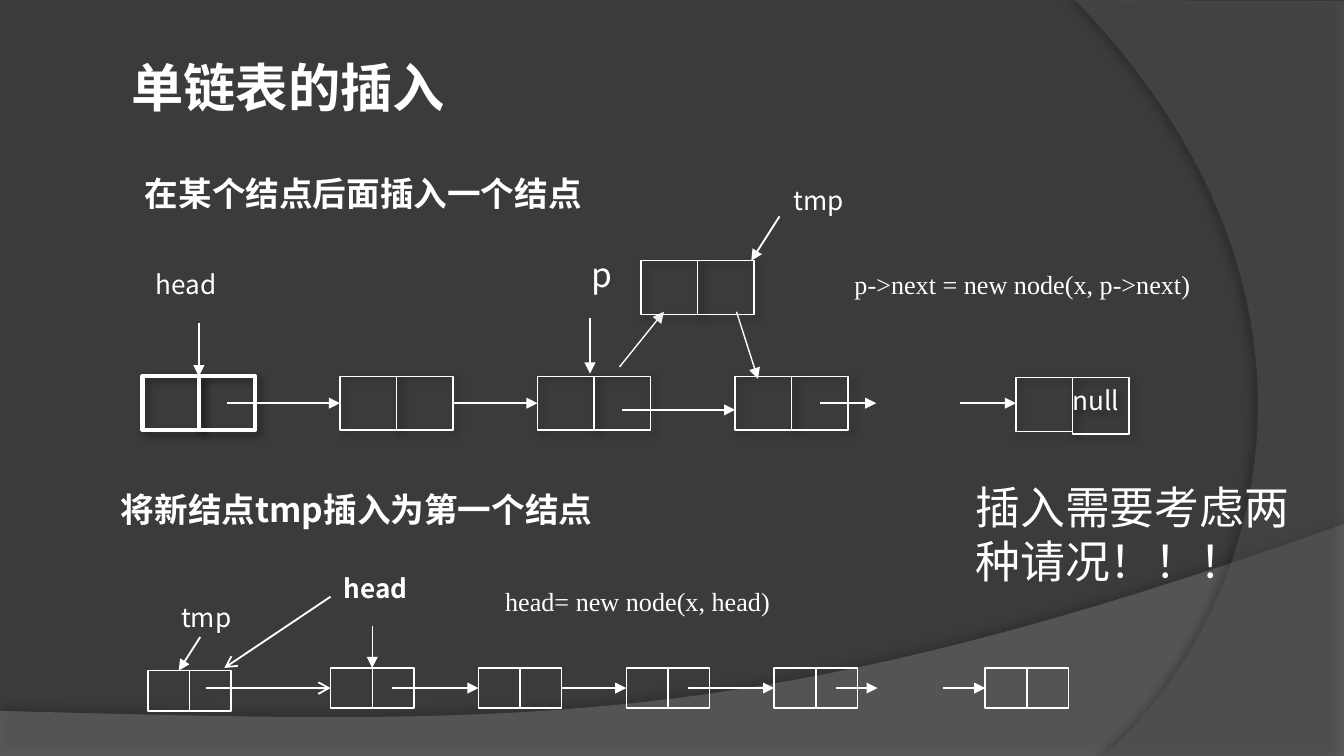
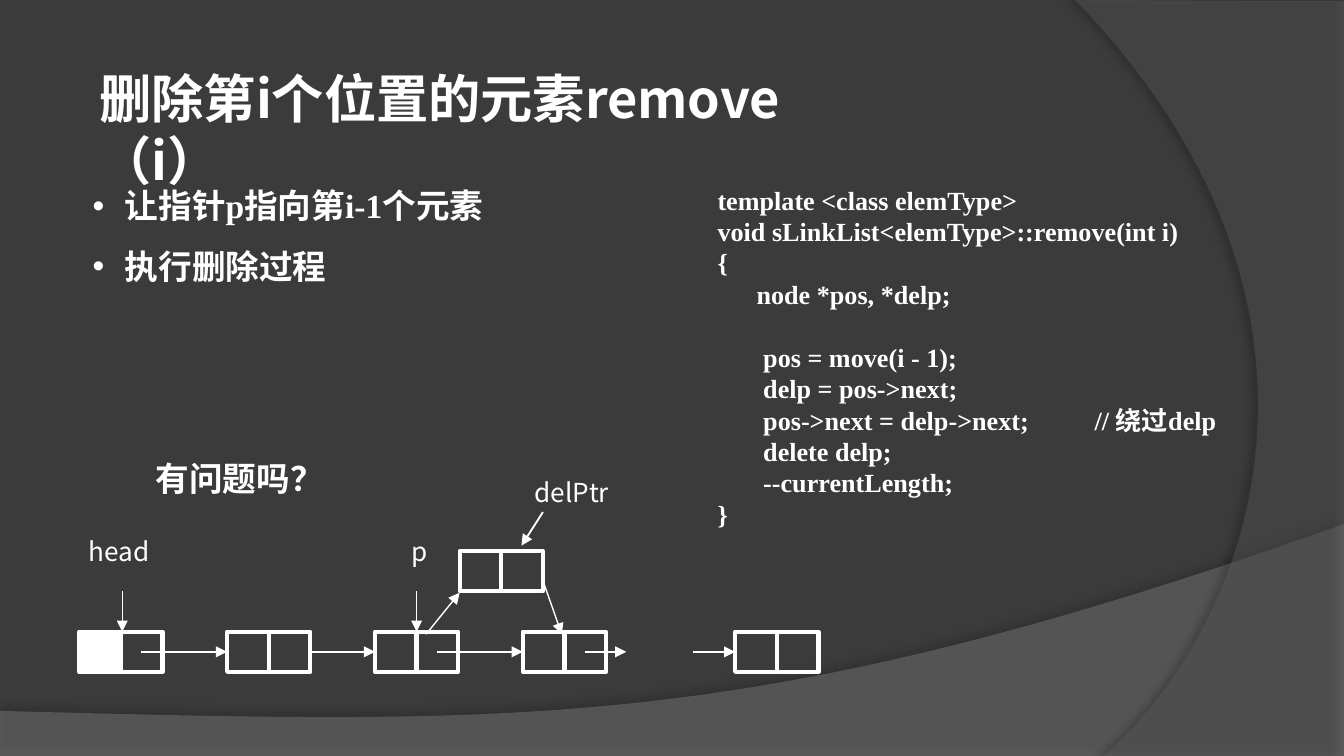
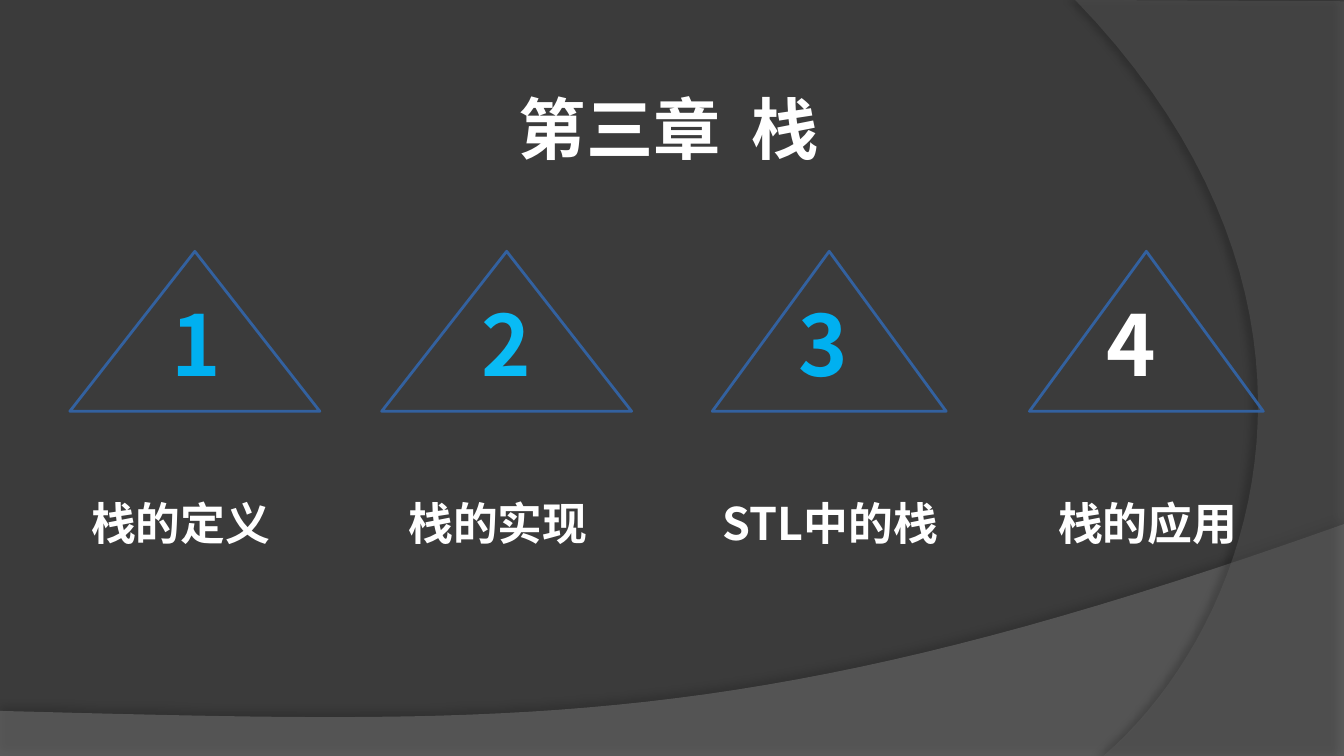
from lxml.etree import SubElement
from pptx import Presentation
from pptx.dml.color import RGBColor
from pptx.enum.shapes import MSO_CONNECTOR, MSO_SHAPE
from pptx.enum.text import MSO_ANCHOR, MSO_AUTO_SIZE, PP_ALIGN
from pptx.oxml.ns import qn
from pptx.util import Pt

PX = 9144  # EMU per px, 100 px to the inch
WIDTH = 1000
HEIGHT = WIDTH * 9 / 16

BACKGROUND = RGBColor(0x3B, 0x3B, 0x3B)
LOWER_BAND = RGBColor(0x7F, 0x7F, 0x7F)
RIGHT_BAND = RGBColor(0x5E, 0x5E, 0x5E)
WHITE = RGBColor(0xFF, 0xFF, 0xFF)
TRIANGLE_BLUE = RGBColor(0x33, 0x61, 0x9F)
DEEP_CYAN = RGBColor(0x00, 0xB0, 0xF0)
CYAN = RGBColor(0x09, 0xBB, 0xF5)

SANS = "Noto Sans CJK SC"
SERIF = "Times New Roman"
CELL_SHADOW = (40, 4, 3, 45)  # opacity %, blur pt, distance pt, angle
THIN, MEDIUM, THICK = 0.75, 1, 2.25


def px(*lengths):
    return [round(length * PX) for length in lengths]


def set_shadow(shape, shadow=None):
    shape.shadow.inherit = False
    if shadow:
        opacity, blur, distance, angle = shadow
        effects = shape.element.find(qn("p:spPr")).find(qn("a:effectLst"))
        outer = SubElement(effects, qn("a:outerShdw"), blurRad=str(Pt(blur)),
                           dist=str(Pt(distance)), dir=str(angle * 60000),
                           algn="ctr", rotWithShape="0")
        black = SubElement(outer, qn("a:srgbClr"), val="000000")
        SubElement(black, qn("a:alpha"), val=str(opacity * 1000))


# Shared backdrop
def bezier(start, control1, control2, end, steps=40):
    points = []
    for step in range(1, steps + 1):
        t = step / steps
        weights = ((1 - t) ** 3, 3 * t * (1 - t) ** 2, 3 * t * t * (1 - t), t ** 3)
        points.append(tuple(
            sum(weight * value for weight, value in zip(weights, axis))
            for axis in zip(start, control1, control2, end)))
    return points


def add_band(slide, corners, curve, color, opacity, shadow):
    outline = [px(*point) for point in corners + bezier(corners[-1], *curve)]
    builder = slide.shapes.build_freeform(*outline[0], scale=1.0)
    builder.add_line_segments(outline[1:], close=True)
    band = builder.convert_to_shape()
    band.fill.solid()
    band.fill.fore_color.rgb = color
    color_node = next(band.element.iter(qn("a:srgbClr")))
    SubElement(color_node, qn("a:alpha"), val=str(opacity * 1000))
    band.line.fill.background()
    set_shadow(band, shadow)


def add_slide(deck):
    slide = deck.slides.add_slide(deck.slide_layouts[6])
    add_band(slide, [(0, 529), (0, HEIGHT), (WIDTH, HEIGHT), (WIDTH, 390)],
             [(559, 547), (391, 539), (0, 529)], LOWER_BAND, 45, (35, 4, 3.5, 270))
    add_band(slide, [(WIDTH, 1), (WIDTH, HEIGHT), (821, HEIGHT)],
             [(935, 464), (1018, 225), (800, 0)], RIGHT_BAND, 40, (45, 4, 4, 180))
    return slide


# Text
def format_run(run, size, font=SANS, color=WHITE, bold=False):
    run.font.size = Pt(size)
    run.font.bold = bold
    run.font.color.rgb = color
    run.font.name = font
    SubElement(run.font._element, qn("a:ea"), typeface=SANS)


def format_text(frame, size, align=None, spacing=None, **style):
    for paragraph in frame.paragraphs:
        paragraph.alignment = align
        paragraph.line_spacing = spacing
        for run in paragraph.runs:
            format_run(run, size, **style)


def set_insets(frame, left, top, right, bottom):
    frame.margin_left, frame.margin_top, frame.margin_right, frame.margin_bottom = px(
        left, top, right, bottom)


def add_text(slide, box, text, size, insets=(10, 5, 10, 5), grow=True, **style):
    frame = slide.shapes.add_textbox(*px(*box)).text_frame
    frame.word_wrap = True
    frame.auto_size = MSO_AUTO_SIZE.SHAPE_TO_FIT_TEXT if grow else MSO_AUTO_SIZE.NONE
    set_insets(frame, *insets)
    frame.text = text
    format_text(frame, size, **style)
    return frame


def add_heading(slide, box, text, size=28, **style):
    add_text(slide, box, text, size, insets=(7, 4, 7, 4), bold=True, **style)


def add_pointer_name(slide, box, text, size=14, **style):
    add_text(slide, box, text, size, grow=False, align=PP_ALIGN.JUSTIFY, **style)


def add_centred_name(slide, box, text):
    frame = add_text(slide, box, text, 14, grow=False, align=PP_ALIGN.CENTER)
    frame.word_wrap = False
    frame.vertical_anchor = MSO_ANCHOR.MIDDLE


def indent(paragraph, left, first=0):
    properties = paragraph._p.get_or_add_pPr()
    properties.set("marL", str(left * PX))
    properties.set("indent", str(first * PX))
    return properties


# Linked list parts
def add_outline(slide, kind, box, color=WHITE, weight=THIN, shadow=None):
    shape = slide.shapes.add_shape(kind, *px(*box))
    shape.fill.background()
    shape.line.color.rgb = color
    shape.line.width = Pt(weight)
    set_shadow(shape, shadow)
    return shape


def add_arrow(slide, start, end, weight=THIN, head="triangle"):
    arrow = slide.shapes.add_connector(MSO_CONNECTOR.STRAIGHT, *px(*start, *end))
    arrow.line.color.rgb = WHITE
    arrow.line.width = Pt(weight)
    properties = arrow.element.find(qn("p:spPr"))
    SubElement(properties.find(qn("a:ln")), qn("a:tailEnd"), type=head)
    SubElement(properties, qn("a:effectLst"))


def add_node(slide, left, top, cell, weight=THIN, shadow=None):
    width, height = cell
    return [add_outline(slide, MSO_SHAPE.RECTANGLE, (x, top, width, height),
                        weight=weight, shadow=shadow)
            for x in (left, left + width)]


def add_chain(slide, left, top, step, last, cell, weight=THIN, shadow=None, old_link_drop=0):
    """Four evenly spaced nodes, a gap, and the last node."""
    width, height = cell
    lefts = [left + step * i for i in range(4)] + [last]
    nodes = [add_node(slide, x, top, cell, weight, shadow) for x in lefts]
    middle = top + height // 2
    inside = width * 3 // 2
    links = [
        (lefts[0] + inside, lefts[1], 0),
        (lefts[1] + 2 * width, lefts[2], 0),
        (lefts[2] + inside, lefts[3], old_link_drop),
        (lefts[3] + inside, lefts[3] + inside + width, 0),
        (last - width, last, 0),
    ]
    for start, end, drop in links:
        add_arrow(slide, (start, middle + drop), (end, middle + drop))
    return nodes


# Slides
def build_insertion(deck):
    slide = add_slide(deck)
    add_heading(slide, (91, 37, 404, 55), "单链表的插入")
    add_heading(slide, (83, 360, 843, 38), "将新结点tmp插入为第一个结点", 18)

    # Insertion at the front
    small = (31, 30)
    add_chain(slide, 246, 497, 110, 733, small)
    add_pointer_name(slide, (246, 421, 79, 46), "head", bold=True)
    add_arrow(slide, (277, 466), (277, 497))
    add_centred_name(slide, (116, 444, 75, 30), "tmp")
    add_node(slide, 110, 499, small)
    add_arrow(slide, (149, 474), (133, 499), MEDIUM)
    add_arrow(slide, (153, 512), (246, 512), MEDIUM, "arrow")
    add_arrow(slide, (246, 444), (167, 497), MEDIUM, "arrow")

    # Insertion after a node
    large = (42, 40)
    nodes = add_chain(slide, 106, 280, 147, 756, large, shadow=CELL_SHADOW, old_link_drop=5)
    for head_cell in nodes[0]:
        head_cell.line.width = Pt(THICK)
    for last_cell in nodes[-1]:
        last_cell.top = 281 * PX
    null_cell = nodes[-1][1]
    null_cell.height = 42 * PX
    null_frame = null_cell.text_frame
    null_frame.text = "null"
    null_frame.vertical_anchor = MSO_ANCHOR.TOP
    set_insets(null_frame, 0, 5, 0, 5)
    format_text(null_frame, 14, align=PP_ALIGN.LEFT, spacing=Pt(16.8))
    add_pointer_name(slide, (106, 195, 105, 45), "head")
    add_arrow(slide, (148, 240), (148, 280))
    add_pointer_name(slide, (430, 184, 58, 61), "p", 18)
    add_arrow(slide, (439, 237), (439, 278))
    add_arrow(slide, (548, 232), (564, 282))
    add_arrow(slide, (461, 273), (494, 232))
    add_centred_name(slide, (559, 129, 100, 40), "tmp")
    add_node(slide, 477, 194, large, shadow=CELL_SHADOW)
    add_arrow(slide, (580, 161), (559, 194), MEDIUM)

    # Explanations and code
    add_text(slide, (98, 124, 370, 40), "在某个结点后面插入一个结点", 18, bold=True)
    add_text(slide, (716, 352, 284, 91), "插入需要考虑两种请况！！！", 24, font=SERIF)
    add_text(slide, (626, 195, 284, 34), "p->next = new node(x, p->next)", 14, font=SERIF)
    add_text(slide, (366, 431, 228, 34), "head= new node(x, head)", 14, font=SERIF)


def build_removal(deck):
    slide = add_slide(deck)
    add_heading(slide, (67, 45, 585, 55), "删除第i个位置的元素remove（i）")

    # Linked list with the node to delete
    cell = (31, 30)
    nodes = add_chain(slide, 59, 470, 110, 547, cell, THICK)
    head_cell = nodes[0][0]
    head_cell.fill.solid()
    head_cell.fill.fore_color.rgb = WHITE
    for name, left, width, arrow_x in (("head", 59, 78, 91), ("p", 299, 44, 310)):
        add_pointer_name(slide, (left, 394, width, 46), name, insets=(7, 4, 7, 4))
        add_arrow(slide, (arrow_x, 440), (arrow_x, 470))
    add_arrow(slide, (405, 435), (418, 472))
    add_arrow(slide, (317, 472), (342, 441))
    add_node(slide, 342, 410, cell, THICK)
    add_centred_name(slide, (388, 351, 75, 30), "delPtr")
    add_arrow(slide, (404, 381), (388, 406), MEDIUM)

    # Code: each line with its indent
    code = [
        ("template <class elemType>", 0),
        ("void sLinkList<elemType>::remove(int i)", 0),
        ("{", 0),
        ("node *pos, *delp;", 29),
        ("pos = move(i - 1);", 34),
        ("delp = pos->next;", 34),
        ("pos->next = delp->next;", 34),
        ("delete delp;", 34),
        ("--currentLength;", 34),
        ("}", 0),
    ]
    listing = add_text(slide, (524, 132, 441, 269), "\n".join(line for line, _ in code),
                       14, font=SERIF, bold=True)
    for paragraph, (_, left) in zip(listing.paragraphs, code):
        indent(paragraph, left)
    listing.paragraphs[4].space_before = Pt(17)

    # Comment set off from its statement by one widened space
    for part in (" ", "// 绕过delp"):
        run = listing.paragraphs[6].add_run()
        run.text = part
        format_run(run, 14, font=SERIF, bold=True)
        if part == " ":
            run.font._element.set("spc", "3150")

    # Steps
    steps = add_text(slide, (59, 124, 362, 95), "让指针p指向第i-1个元素\n执行删除过程",
                     18, font=SERIF, bold=True, align=PP_ALIGN.JUSTIFY)
    for paragraph, spacing in zip(steps.paragraphs, (1.3, 1.5)):
        paragraph.line_spacing = spacing
        properties = indent(paragraph, 24, -24)
        SubElement(properties, qn("a:buFont"), typeface="Arial")
        SubElement(properties, qn("a:buChar"), char="•")
    add_text(slide, (106, 336, 157, 40), "有问题吗？", 18, bold=True)


def build_chapter(deck):
    slide = add_slide(deck)
    add_heading(slide, (316, 46, 363, 83), "第三章  栈", 36,
                align=PP_ALIGN.CENTER, spacing=1.25)

    # Sections: label, its box and indent; triangle; number box, indent and colour
    left, center = PP_ALIGN.LEFT, PP_ALIGN.CENTER
    sections = [
        ("栈的定义", 35, 236, 23, left, 52, 186, 58, 176, 0, DEEP_CYAN),
        ("栈的实现", 272, 226, 22, left, 284, 186, 289, 175, 0, CYAN),
        ("STL中的栈", 500, 236, 0, center, 530, 174, 517, 165, 26, DEEP_CYAN),
        ("栈的应用", 736, 236, 0, center, 766, 174, 753, 165, 12, WHITE),
    ]
    for number, section in enumerate(sections, 1):
        (label, label_left, label_width, label_indent, align, triangle_left, triangle_width,
         number_left, number_width, number_indent, color) = section
        label_frame = add_text(slide, (label_left, 344, label_width, 71), label, 24,
                               bold=True, align=align, spacing=1.5)
        indent(label_frame.paragraphs[0], label_indent)
        add_outline(slide, MSO_SHAPE.ISOSCELES_TRIANGLE,
                    (triangle_left, 187, triangle_width, 119), TRIANGLE_BLUE, 1.5)
        number_frame = add_text(slide, (number_left, 213, number_width, 86), str(number), 45,
                                bold=True, color=color, align=center)
        indent(number_frame.paragraphs[0], number_indent)


def main():
    deck = Presentation()
    deck.slide_width, deck.slide_height = px(WIDTH, HEIGHT)
    backdrop = deck.slide_master.background.fill
    backdrop.solid()
    backdrop.fore_color.rgb = BACKGROUND
    build_insertion(deck)
    build_removal(deck)
    build_chapter(deck)
    deck.save("out.pptx")


if __name__ == "__main__":
    main()
